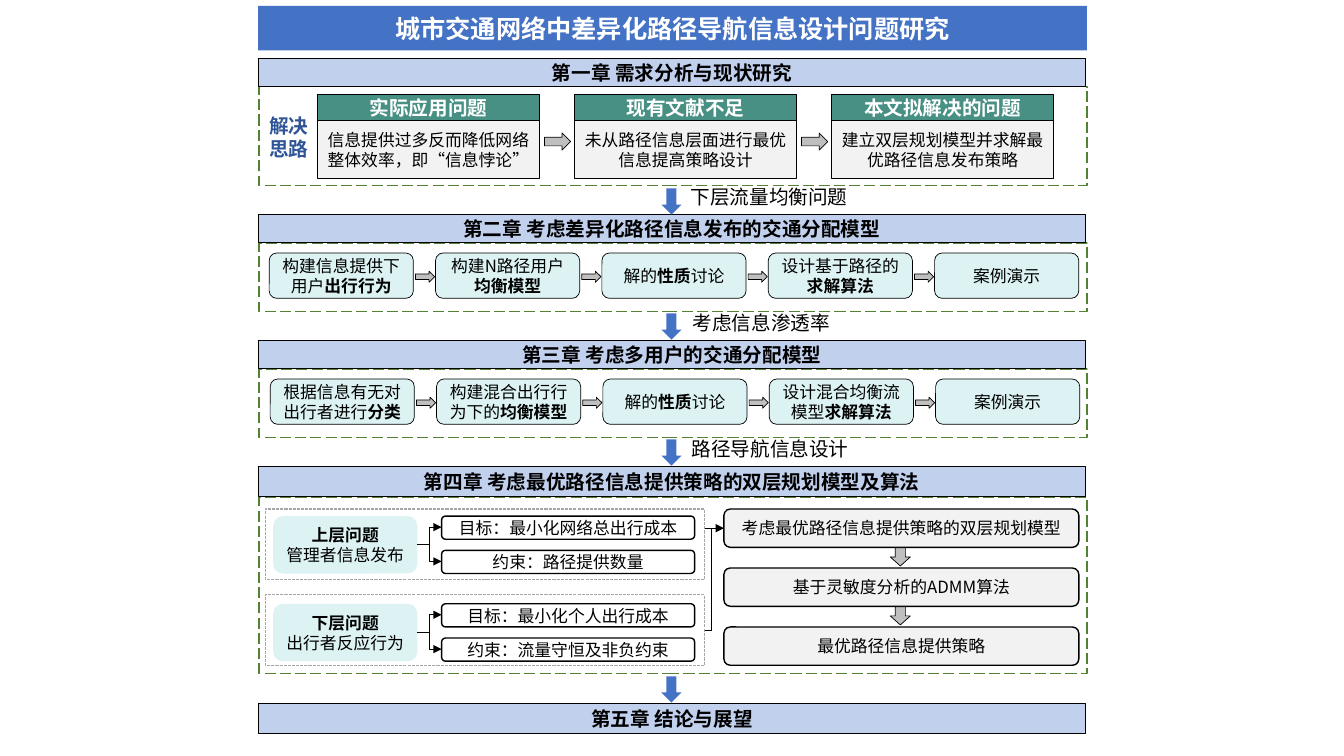
from lxml import etree
from pptx import Presentation, util as u
from pptx.dml.color import RGBColor
from pptx.enum import dml, shapes, text as tx
from pptx.oxml.ns import qn

FONT = "Noto Sans CJK SC"
BLUE, BAR, TEAL, MINT = "4472C4", "C1D0ED", "489084", "DDF2F3"
PALE, GREY, GREEN, BLACK = "F2F2F2", "BFBFBF", "548235", "000000"
S = shapes.MSO_SHAPE
BOX, ROUND, DOWN, RIGHT = S.RECTANGLE, S.ROUNDED_RECTANGLE, S.DOWN_ARROW, S.RIGHT_ARROW
LONG, SHORT = dml.MSO_LINE.LONG_DASH, dml.MSO_LINE.SQUARE_DOT

prs = Presentation()
prs.slide_width, prs.slide_height = u.Inches(13.33), u.Inches(7.5)
slide = prs.slides.add_slide(prs.slide_layouts[6])


def put(kind, x, y, w, h, words="", size=12, color=BLACK, bold=False,
        fill=None, line=None, width=0.75, dash=None):
    """Add a shape, or a text box if kind is None; *...* switches bold."""
    area = [u.Inches(v) for v in (x, y, w, h)]
    if kind is None:
        item = slide.shapes.add_textbox(*area)
    else:
        item = slide.shapes.add_shape(kind, *area)
        item.shadow.inherit = False
        if fill:
            item.fill.solid()
            item.fill.fore_color.rgb = RGBColor.from_string(fill)
        else:
            item.fill.background()
        if line:
            item.line.color.rgb = RGBColor.from_string(line)
            item.line.width = u.Pt(width)
            item.line.dash_style = dash
        else:
            item.line.fill.background()
    if not words:
        return
    frame = item.text_frame
    frame.word_wrap = True
    if kind is not None:
        frame.vertical_anchor = tx.MSO_ANCHOR.MIDDLE
        frame.margin_left = frame.margin_right = u.Inches(0.05)
        frame.margin_top = frame.margin_bottom = 0
    for n, row in enumerate(words.split("\n")):
        para = frame.add_paragraph() if n else frame.paragraphs[0]
        para.alignment = tx.PP_ALIGN.LEFT if kind is None else tx.PP_ALIGN.CENTER
        for k, part in enumerate(row.split("*")):
            if part:
                run = para.add_run()
                run.text = part
                run.font.size = u.Pt(size)
                run.font.bold = bold or k % 2 == 1
                run.font.color.rgb = RGBColor.from_string(color)
                run.font.name = FONT
                etree.SubElement(run.font._element, qn("a:ea"), typeface=FONT)


def link(kind, x1, y1, x2, y2, head=True):
    """Join two points with a thin black line."""
    wire = slide.shapes.add_connector(kind, *[u.Inches(v) for v in (x1, y1, x2, y2)])
    wire.line.color.rgb = RGBColor.from_string(BLACK)
    wire.line.width = u.Pt(0.5)
    if head:
        etree.SubElement(wire.line._get_or_add_ln(), qn("a:tailEnd"), type="triangle")
    etree.SubElement(wire._element.spPr, qn("a:effectLst"))


# Title
put(BOX, 2.56, 0.06, 8.22, 0.44, "城市交通网络中差异化路径导航信息设计问题研究",
    size=18, color="FFFFFF", bold=True, fill=BLUE)

# Chapters: bar top, bar height, height of the dashed frame below
chaps = [
    (0.58, 0.28, 0.98, "第一章 需求分析与现状研究"),
    (2.13, 0.28, 0.68, "第二章 考虑差异化路径信息发布的交通分配模型"),
    (3.38, 0.28, 0.68, "第三章 考虑多用户的交通分配模型"),
    (4.63, 0.3, 1.75, "第四章 考虑最优路径信息提供策略的双层规划模型及算法"),
    (6.98, 0.3, 0, "第五章 结论与展望"),
]
for top, high, deep, name in chaps:
    if deep:
        put(BOX, 2.57, top + high, 8.21, deep, line=GREEN, width=1, dash=LONG)
    put(BOX, 2.56, top, 8.21, high, name, size=14, bold=True, fill=BAR, line=BLACK)

# Arrows between chapters
steps = [(1.87, 1.79, 6.75, "下层流量均衡问题"), (3.11, 3.04, 6.77, "考虑信息渗透率"),
         (4.36, 4.29, 6.76, "路径导航信息设计"), (6.71, 0, 0, "")]
for y, top, x, note in steps:
    put(DOWN, 6.56, y, 0.2, 0.26, fill=BLUE)
    if note:
        put(None, x, top, 1.81, 0.34, note, size=14)

# Chapter 1: three cards
put(None, 2.57, 1.08, 0.61, 0.57, "解决思路", size=14, color="2F5597", bold=True)
cards = [("实际应用问题", "信息提供过多反而降低网络整体效率，即“信息悖论”"),
         ("现有文献不足", "未从路径信息层面进行最优信息提高策略设计"),
         ("本文拟解决的问题", "建立双层规划模型并求解最优路径信息发布策略")]
for i, (name, body) in enumerate(cards):
    x = 3.15 + 2.55 * i
    put(BOX, x, 0.94, 2.2, 0.26, name, size=14, color="FFFFFF", bold=True,
        fill=TEAL, line=BLACK)
    put(BOX, x, 1.2, 2.2, 0.57, body, fill=PALE, line=BLACK)
    if i:
        put(RIGHT, x - 0.3, 1.32, 0.26, 0.17, fill=GREY, line=BLACK, width=0.5)

# Chapters 2 and 3: five stages each
flows = [
    (2.67, 2.51, ["构建信息提供下用户*出行行为*", "构建N路径用户*均衡模型*", "解的*性质*讨论",
                  "设计基于路径的*求解算法*", "案例演示"]),
    (2.68, 3.76, ["根据信息有无对出行者进行*分类*", "构建混合出行行为下的*均衡模型*",
                  "解的*性质*讨论", "设计混合均衡流模型*求解算法*", "案例演示"]),
]
for left, y, names in flows:
    for i, name in enumerate(names):
        x = left + 1.65 * i
        put(ROUND, x, y, 1.43, 0.45, name, fill=MINT, line=BLACK, width=0.5)
        if i:
            put(RIGHT, x - 0.2, y + 0.18, 0.19, 0.11, fill=GREY, line=BLACK, width=0.5)

# Chapter 4: upper and lower problem
C = shapes.MSO_CONNECTOR
parts = [(5.12, 5.05, "*上层问题*\n管理者信息发布", ["目标：最小化网络总出行成本", "约束：路径提供数量"]),
         (5.99, 5.9, "*下层问题*\n出行者反应行为", ["目标：最小化个人出行成本", "约束：流量守恒及非负约束"])]
for y, top, name, goals in parts:
    put(BOX, 2.63, top, 4.36, 0.7, line="A6A6A6", dash=SHORT)
    put(ROUND, 2.71, y, 1.43, 0.57, name, fill=MINT)
    for i, goal in enumerate(goals):
        row = y + 0.34 * i
        put(ROUND, 4.38, row, 2.51, 0.23, goal, line=BLACK, width=1)
        link(C.ELBOW, 4.14, y + 0.28, 4.38, row + 0.11)

# Chapter 4: model, algorithm, strategy
link(C.STRAIGHT, 6.99, 5.24, 7.18, 5.24)
link(C.STRAIGHT, 6.99, 6.25, 7.06, 6.25, head=False)
link(C.STRAIGHT, 7.06, 6.25, 7.06, 5.24, head=False)
tasks = ["考虑最优路径信息提供策略的双层规划模型", "基于灵敏度分析的ADMM算法", "最优路径信息提供策略"]
for i, task in enumerate(tasks):
    y = 5.05 + 0.585 * i
    put(ROUND, 7.18, y, 3.52, 0.38, task, fill=PALE, line=BLACK, width=1)
    if i:
        put(DOWN, 8.83, y - 0.2, 0.2, 0.18, fill=GREY, line=BLACK, width=0.5)

prs.save("out.pptx")
